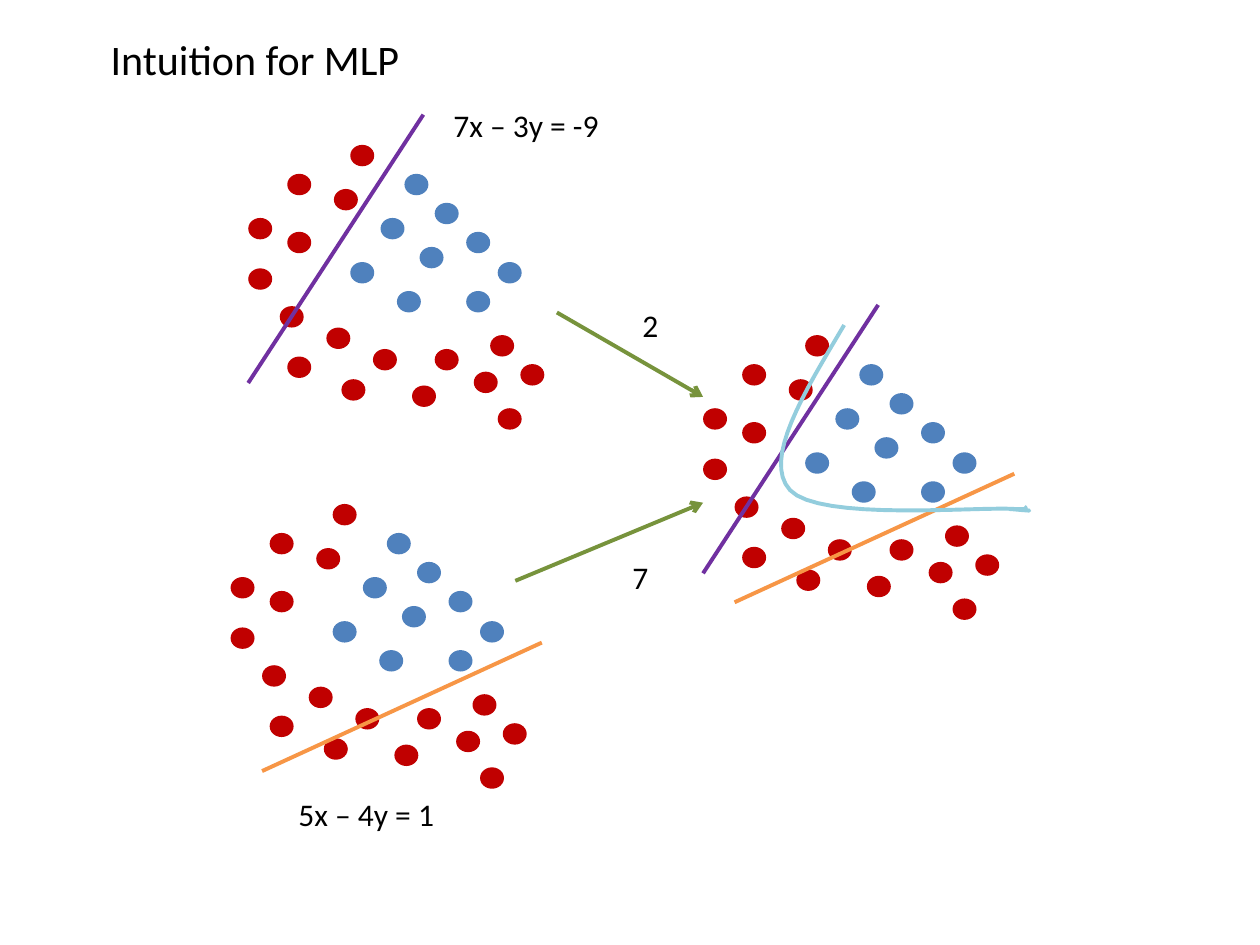
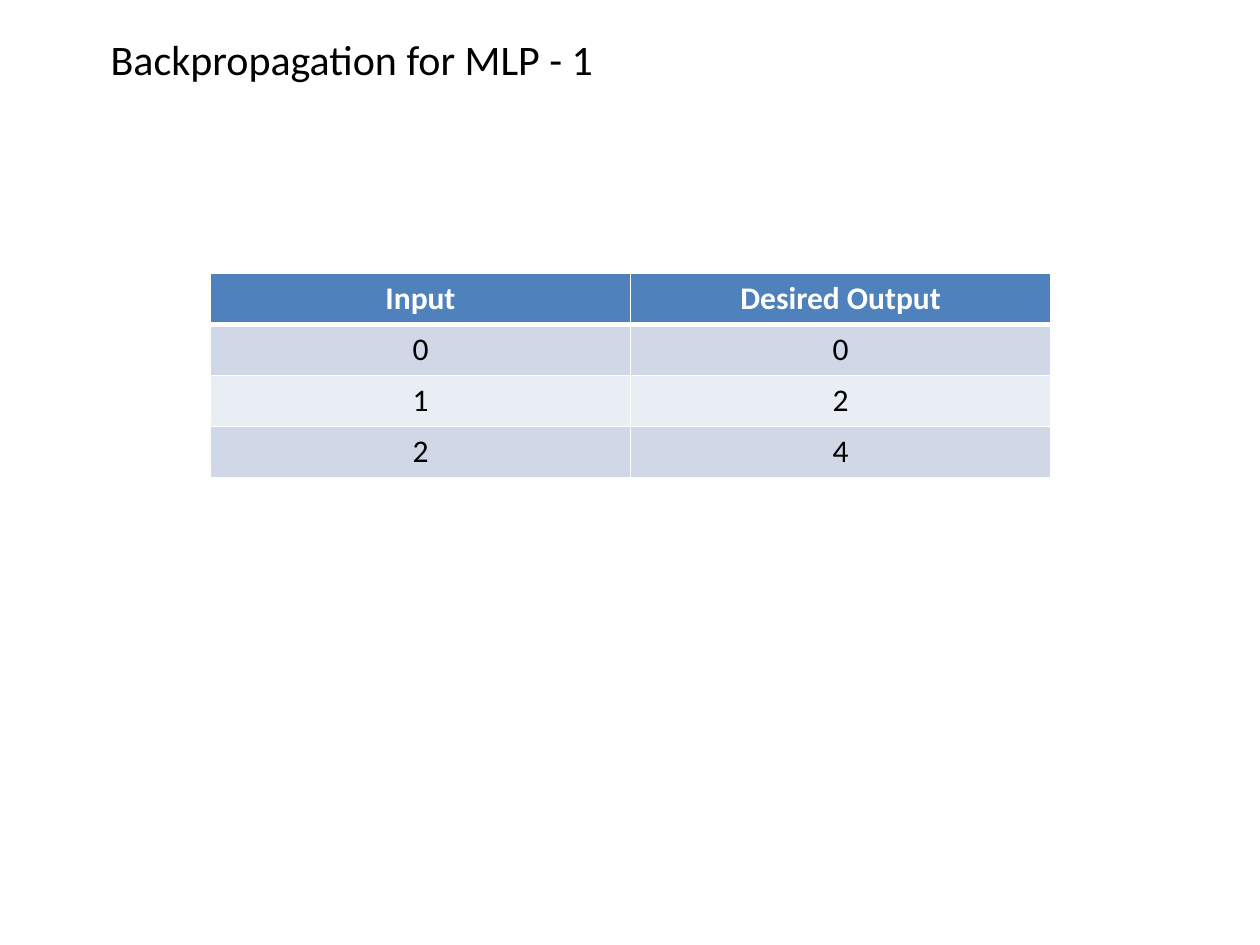
from lxml.etree import SubElement
from pptx import Presentation
from pptx.dml.color import RGBColor
from pptx.enum.shapes import MSO_CONNECTOR, MSO_SHAPE
from pptx.enum.text import MSO_ANCHOR, PP_ALIGN
from pptx.oxml.ns import qn
from pptx.util import Inches, Pt

BLACK = RGBColor(0x00, 0x00, 0x00)
WHITE = RGBColor(0xFF, 0xFF, 0xFF)
BLUE = RGBColor(0x4F, 0x81, 0xBD)
RED = RGBColor(0xC0, 0x00, 0x00)
PURPLE = RGBColor(0x70, 0x30, 0xA0)
ORANGE = RGBColor(0xF7, 0x96, 0x46)
GREEN = RGBColor(0x77, 0x93, 0x3C)
AQUA = RGBColor(0x93, 0xCD, 0xDD)
BANDS = [RGBColor(0xD0, 0xD8, 0xE8), RGBColor(0xE9, 0xED, 0xF4)]
FONT = "Calibri"
LINE_WIDTH = Pt(2.25)

# Dots and separating lines, in inches from the corner of a cluster
DOT_SIZE = (0.19, 0.17)
BLUE_DOTS = [(1.24, 0.23), (1.48, 0.46), (1.73, 0.69), (1.98, 0.93), (1.73, 1.16),
             (0.81, 0.93), (1.18, 1.16), (1.36, 0.81), (1.05, 0.58)]
RED_DOTS = [(0.81, 0), (0.74, 1.86), (1.79, 1.8), (0, 0.98), (0, 0.58), (0.31, 0.23),
            (0.31, 1.68), (1.3, 1.91), (1.48, 1.62), (0.99, 1.62), (0.62, 1.45),
            (0.25, 1.28), (1.98, 2.09), (2.16, 1.74), (0.68, 0.35), (1.92, 1.51),
            (0.31, 0.69)]
STEEP = ((1.39, -0.24), (0, 1.89), PURPLE)
SHALLOW = ((2.47, 1.1), (0.25, 2.12), ORANGE)

# Corner, separating lines
COMBINED = ((5.58, 2.66), [STEEP, SHALLOW])
LOWER = ((1.83, 4.0), [SHALLOW])
UPPER = ((1.97, 1.15), [STEEP])

# Start of the combined boundary, then two control points and an end per curve
BOUNDARY_START = (6.7, 2.58)
BOUNDARY = [((6.38, 3.12), (6.05, 3.65), (6.27, 3.89)),
            ((6.5, 4.14), (7.76, 4.02), (8.05, 4.04)),
            ((8.34, 4.07), (8.01, 4.04), (8.01, 4.04)),
            ((8.03, 4.04), (8.11, 4.04), (8.13, 4.04)),
            ((8.15, 4.04), (8.14, 4.03), (8.13, 4.02))]
CURVE_STEPS = 16

ARROWS = [((4.42, 2.48), (5.58, 3.15)), ((4.09, 4.61), (5.58, 3.99))]
LABELS = [("2", (5, 2.38, 0.33, 0.42)),
          ("7", (4.92, 4.38, 0.33, 0.42)),
          ("7x – 3y = -9", (3.5, 0.79, 1.42, 0.4)),
          ("5x – 4y = 1", (2.27, 6.26, 1.42, 0.4))]

TABLE_BOX = (1.67, 2.17, 6.67, 1.62)
TABLE = [("Input", "Desired Output"), ("0", "0"), ("1", "2"), ("2", "4")]


def inches(*values):
    return [Inches(v) for v in values]


def add_run(p, text, size, color=BLACK, bold=False):
    r = p.add_run()
    r.text = text
    r.font.name, r.font.size, r.font.bold = FONT, Pt(size), bold
    r.font.color.rgb = color


def add_text(s, text, box, size=18, wrap=True):
    tf = s.shapes.add_textbox(*inches(*box)).text_frame
    tf.word_wrap = wrap
    add_run(tf.paragraphs[0], text, size)


def add_slide(prs, title, title_width):
    s = prs.slides.add_slide(prs.slide_layouts[6])
    add_text(s, title, (0.78, 0.22, title_width, 0.5), 24, wrap=False)
    return s


def add_line(shapes, start, end, color, arrow=False):
    line = shapes.add_connector(MSO_CONNECTOR.STRAIGHT, *inches(*start, *end))
    line.line.color.rgb = color
    line.line.width = LINE_WIDTH
    sp_pr = line.element.spPr
    if arrow:
        SubElement(sp_pr.find(qn("a:ln")), qn("a:tailEnd"), type="arrow")
    SubElement(sp_pr, qn("a:effectLst"))


def add_cluster(s, corner, separators):
    def place(point):
        return corner[0] + point[0], corner[1] + point[1]

    shapes = s.shapes.add_group_shape().shapes
    for dots, color in ((BLUE_DOTS, BLUE), (RED_DOTS, RED)):
        for point in dots:
            dot = shapes.add_shape(MSO_SHAPE.OVAL, *inches(*place(point), *DOT_SIZE))
            dot.shadow.inherit = False
            dot.fill.solid()
            dot.fill.fore_color.rgb = color
            dot.line.fill.background()
    for start, end, color in separators:
        add_line(shapes, place(start), place(end), color)


def bezier(points, t):
    """Point at t on the cubic curve through four control points."""
    weights = ((1 - t) ** 3, 3 * t * (1 - t) ** 2, 3 * t ** 2 * (1 - t), t ** 3)
    return inches(*(sum(w * v for w, v in zip(weights, axis)) for axis in zip(*points)))


def add_boundary(s):
    start, points = BOUNDARY_START, []
    for curve in BOUNDARY:
        points += [bezier((start, *curve), i / CURVE_STEPS)
                   for i in range(1, CURVE_STEPS + 1)]
        start = curve[-1]
    builder = s.shapes.build_freeform(*inches(*BOUNDARY_START))
    builder.add_line_segments(points, close=False)
    sp = builder.convert_to_shape()
    sp.shadow.inherit = False
    sp.fill.background()
    sp.line.color.rgb = AQUA
    sp.line.width = LINE_WIDTH


def add_borders(cell, widths):
    """Draw white borders; widths maps a side letter to points."""
    tc_pr = cell._tc.get_or_add_tcPr()
    for side, width in widths.items():
        ln = SubElement(tc_pr, qn("a:ln" + side), w=str(Pt(width)))
        fill = SubElement(ln, qn("a:solidFill"))
        SubElement(fill, qn("a:srgbClr"), val=str(WHITE))


def add_data_table(s):
    table = s.shapes.add_table(len(TABLE), len(TABLE[0]), *inches(*TABLE_BOX)).table
    for i, row in enumerate(TABLE):
        header = i == 0
        for j, text in enumerate(row):
            cell = table.cell(i, j)
            add_borders(cell, {"L": 1, "R": 1, "T": 3 if i == 1 else 1,
                               "B": 3 if header else 1})
            cell.fill.solid()
            cell.fill.fore_color.rgb = BLUE if header else BANDS[(i - 1) % 2]
            cell.vertical_anchor = MSO_ANCHOR.TOP
            p = cell.text_frame.paragraphs[0]
            p.alignment = PP_ALIGN.CENTER
            add_run(p, text, 18, WHITE if header else BLACK, header)


def main():
    prs = Presentation()
    prs.slide_width, prs.slide_height = inches(10, 7.5)

    s = add_slide(prs, "Intuition for MLP", 2.51)
    add_cluster(s, *COMBINED)
    add_boundary(s)
    add_cluster(s, *LOWER)
    add_cluster(s, *UPPER)
    for start, end in ARROWS:
        add_line(s.shapes, start, end, GREEN, arrow=True)
    for text, box in LABELS:
        add_text(s, text, box)

    s = add_slide(prs, "Backpropagation for MLP - 1", 4.07)
    add_data_table(s)

    prs.save("out.pptx")


if __name__ == "__main__":
    main()
